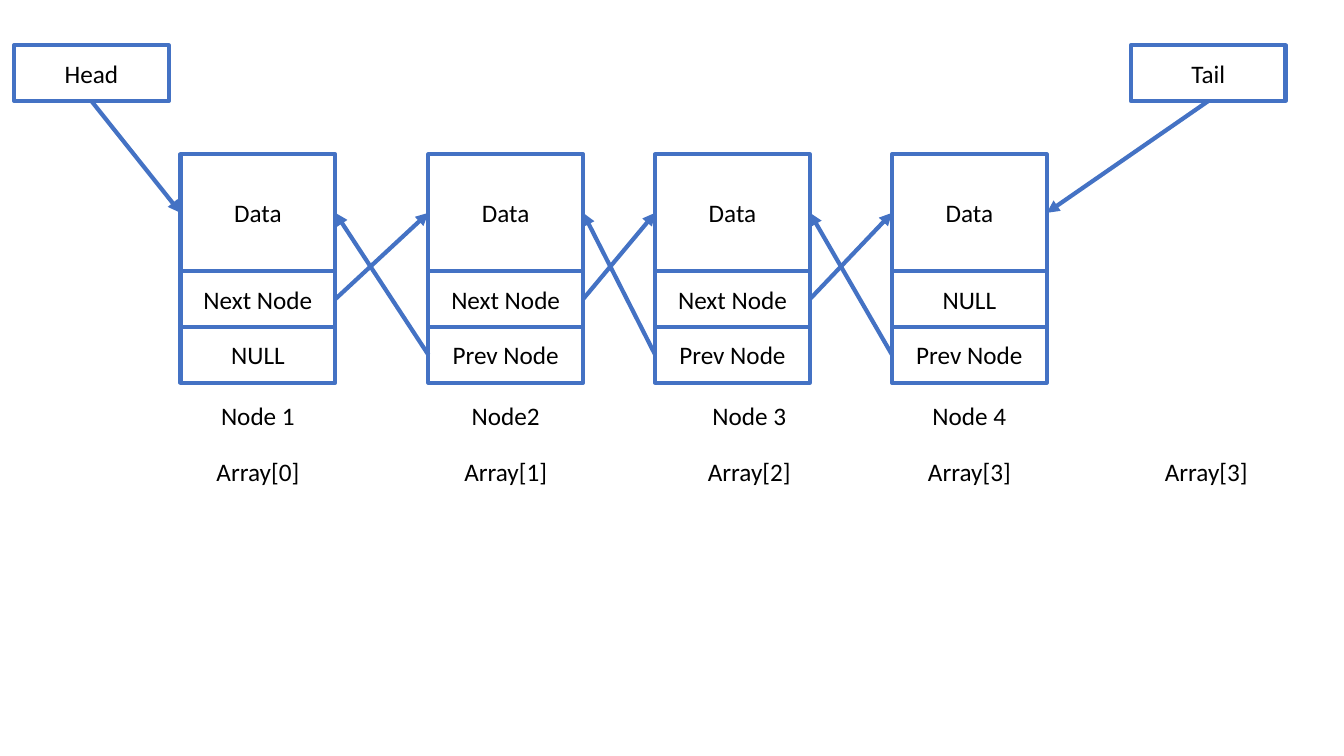
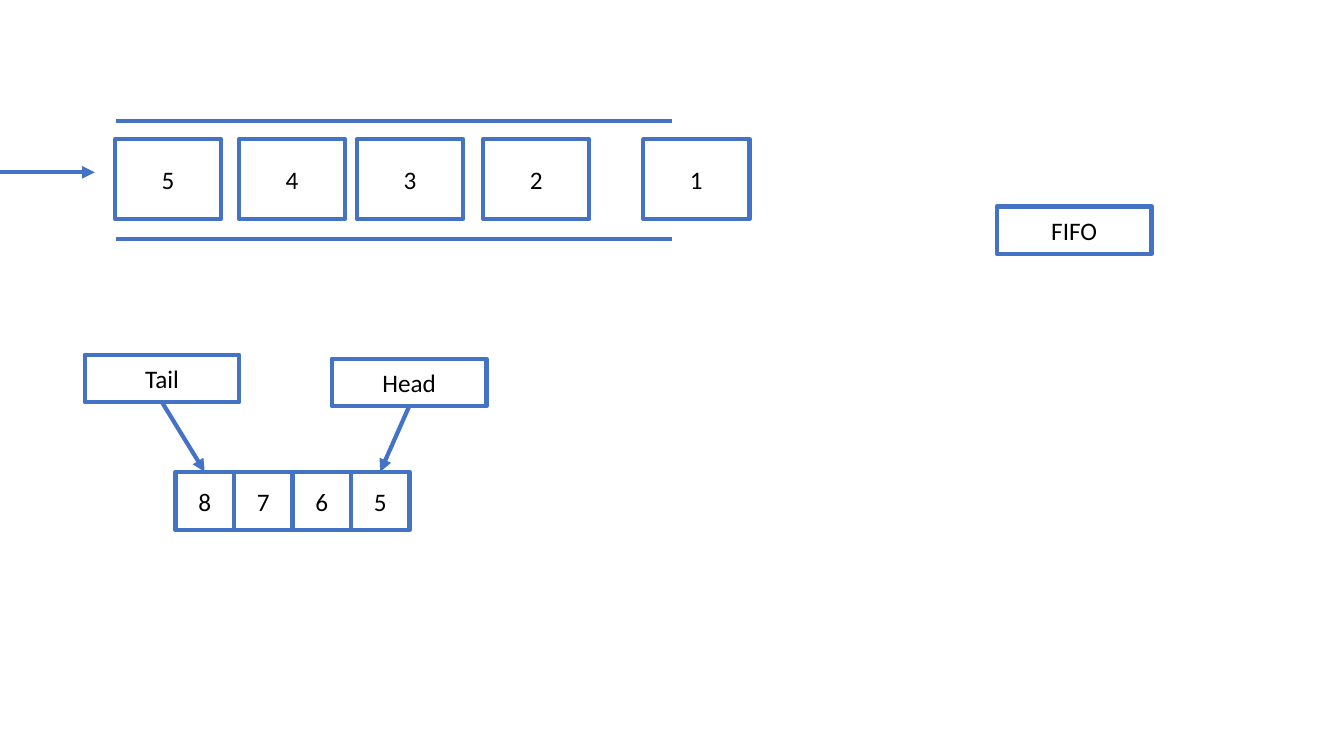
from pptx import Presentation
from pptx.dml.color import RGBColor
from pptx.enum.shapes import MSO_CONNECTOR, MSO_SHAPE
from pptx.enum.text import MSO_ANCHOR, PP_ALIGN
from pptx.oxml import parse_xml
from pptx.oxml.ns import nsdecls
from pptx.util import Pt

# Shared style
BLUE, BLACK = "4472C4", "000000"
FONT, SIZE, LINE_W = "Calibri", 18, 3
BOX_W = 110.5
TOP, LEFT, BOTTOM, RIGHT = range(4)

# Linked list: node left, caption left, rows, captions
NODES = [
    (129, 129, ("Data", "Next Node", "NULL"), ("Node 1", "Array[0]")),
    (306, 306, ("Data", "Next Node", "Prev Node"), ("Node2", "Array[1]")),
    (468, 480, ("Data", "Next Node", "Prev Node"), ("Node 3", "Array[2]")),
    (637.2, 637.2, ("Data", "NULL", "Prev Node"), ("Node 4", "Array[3]")),
]
NODE_TOP, DATA_H, ROW_H = 110.3, 83.5, 39.8
CAPTION_TOP = 277.2
SPARE_CAPTION = ("Array[3]", 806.4)
LIST_ENDS = [("Head", 10.1, 0, LEFT), ("Tail", 807.8, -1, RIGHT)]
END_TOP = 32.4

# Queue: items moving between two rails, and the array behind it
QUEUE = [("5", 82), ("4", 170.6), ("3", 254.9), ("2", 345), ("1", 459.4)]
QUEUE_TOP, QUEUE_W, QUEUE_H = 99.4, 76, 57
RAILS = [86.4, 170.6]
RAIL_LEFT, RAIL_RIGHT = 82.8, 480.2
ENTRY = (0, 123.1, 67.7, 123.1)
CELLS = ["8", "7", "6", "5"]
CELL_LEFT, CELL_TOP, CELL = 125.3, 337, 41.8
QUEUE_ENDS = [("Tail", 60.5, 253.4, 0), ("Head", 237, 256.3, -1)]
FIFO = ("FIFO", 712.1, 147.5)
TAG_H = 34


def rgb(value):
    return RGBColor.from_string(value)


def write(sp, text, size=SIZE, color=BLACK, align=PP_ALIGN.CENTER):
    tf = sp.text_frame
    tf.word_wrap = True
    tf.vertical_anchor = MSO_ANCHOR.MIDDLE
    p = tf.paragraphs[0]
    p.alignment = align
    r = p.add_run()
    r.text = text
    r.font.name, r.font.size = FONT, Pt(size)
    r.font.color.rgb = rgb(color)


def box(s, text, x, y, w, h):
    sp = s.shapes.add_shape(MSO_SHAPE.RECTANGLE, Pt(x), Pt(y), Pt(w), Pt(h))
    sp.shadow.inherit = False
    sp.fill.background()
    sp.line.color.rgb = rgb(BLUE)
    sp.line.width = Pt(LINE_W)
    write(sp, text)
    return sp


def caption(s, text, x, y):
    write(s.shapes.add_textbox(Pt(x), Pt(y), Pt(BOX_W), Pt(ROW_H)), text)


def line(s, x1, y1, x2, y2, arrow=False):
    c = s.shapes.add_connector(MSO_CONNECTOR.STRAIGHT, Pt(x1), Pt(y1), Pt(x2), Pt(y2))
    c.line.color.rgb = rgb(BLUE)
    c.line.width = Pt(LINE_W)
    if arrow:
        ln = c.line._get_or_add_ln()
        ln.append(parse_xml(f'<a:tailEnd {nsdecls("a")} type="triangle"/>'))
    c._element.spPr.append(parse_xml(f'<a:effectLst {nsdecls("a")}/>'))
    return c


def join(s, start, start_side, end, end_side):
    c = line(s, 0, 0, 0, 0, arrow=True)
    c.begin_connect(start, start_side)
    c.end_connect(end, end_side)


def build_linked_list(s):
    # Nodes and their captions
    nodes = []
    for x, caption_x, rows, captions in NODES:
        y, node = NODE_TOP, []
        for text, h in zip(rows, (DATA_H, ROW_H, ROW_H)):
            node.append(box(s, text, x, y, BOX_W, h))
            y += h
        nodes.append(node)
        for i, text in enumerate(captions):
            caption(s, text, caption_x, CAPTION_TOP + i * ROW_H)
    text, x = SPARE_CAPTION
    caption(s, text, x, CAPTION_TOP + ROW_H)

    # Next and previous links
    for a, b in zip(nodes, nodes[1:]):
        join(s, a[1], RIGHT, b[0], LEFT)
        join(s, b[2], LEFT, a[0], RIGHT)

    # Head and tail pointers
    for text, x, index, side in LIST_ENDS:
        end = box(s, text, x, END_TOP, BOX_W, ROW_H)
        join(s, end, BOTTOM, nodes[index][0], side)


def build_queue(s):
    # Rails, entry arrow and items
    for y in RAILS:
        line(s, RAIL_LEFT, y, RAIL_RIGHT, y)
    line(s, *ENTRY, arrow=True)
    for text, x in QUEUE:
        box(s, text, x, QUEUE_TOP, QUEUE_W, QUEUE_H)
    box(s, *FIFO, BOX_W, TAG_H)

    # Array with head and tail pointers
    cells = [box(s, text, CELL_LEFT + i * CELL, CELL_TOP, CELL, CELL)
             for i, text in enumerate(CELLS)]
    for text, x, y, index in QUEUE_ENDS:
        end = box(s, text, x, y, BOX_W, TAG_H)
        join(s, end, BOTTOM, cells[index], TOP)


def main():
    prs = Presentation()
    prs.slide_width, prs.slide_height = Pt(960), Pt(540)
    for build in (build_linked_list, build_queue):
        build(prs.slides.add_slide(prs.slide_layouts[6]))
    prs.save("out.pptx")


if __name__ == "__main__":
    main()
